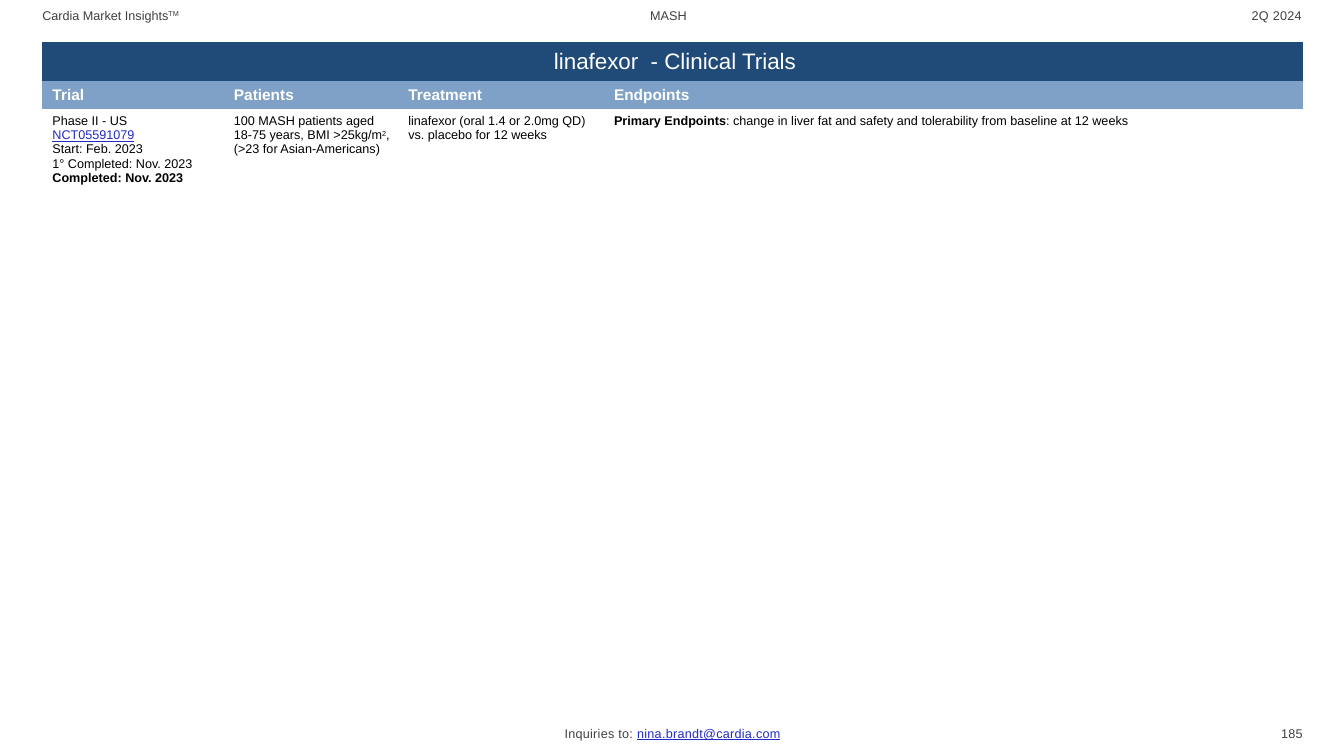
from pptx import Presentation
from pptx.dml.color import RGBColor
from pptx.enum import text as t
from pptx.util import Inches, Pt

NAVY = RGBColor(0x20, 0x4A, 0x78)
STEEL = RGBColor(0x7F, 0xA1, 0xC7)
WHITE = RGBColor(0xFF, 0xFF, 0xFF)
BLACK = RGBColor(0, 0, 0)
GREY = RGBColor(0x40, 0x40, 0x40)
LINK = RGBColor(0x23, 0x2A, 0xC6)
FONT = "Arial"
NO_STYLE_NO_GRID = "{2D5ABB26-0587-4C30-8999-92F81FD0307C}"
LEFT, CENTER, RIGHT = t.PP_ALIGN.LEFT, t.PP_ALIGN.CENTER, t.PP_ALIGN.RIGHT
TOP, MIDDLE = t.MSO_ANCHOR.TOP, t.MSO_ANCHOR.MIDDLE

COLUMN_WIDTHS = (1.8, 1.73, 2.04, 6.93)
ROW_HEIGHTS = (0.38, 0.27, 0.85)
HEADINGS = ("Trial", "Patients", "Treatment", "Endpoints")
# Each cell is a list of paragraphs; each paragraph is a list of (text, style).
TRIAL = (
    [
        [("Phase II - US", "")],
        [("NCT05591079", "link")],
        [("Start: Feb. 2023", "")],
        [("1° Completed: Nov. 2023", "")],
        [("Completed: Nov. 2023", "bold")],
    ],
    [[("100 MASH patients aged 18-75 years, BMI >25kg/m", ""), ("2", "super"),
      (", (>23 for Asian-Americans)", "")]],
    [[("linafexor (oral 1.4 or 2.0mg QD) vs. placebo for 12 weeks", "")]],
    [[("Primary Endpoints", "bold"),
      (": change in liver fat and safety and tolerability from baseline at 12 weeks", "")]],
)


def write_paragraph(para, spans, size, color, align=LEFT, bold=False, spacing=0):
    """Fill a paragraph with (text, style) spans; spacing is in points."""
    para.alignment = align
    para.font.name = FONT
    para.font.size = Pt(size)
    para.font.bold = bold
    para.font.color.rgb = color
    for words, style in spans:
        span = para.add_run()
        span.text = words
        properties = span._r.get_or_add_rPr()
        if spacing:
            properties.set("spc", str(round(spacing * 100)))
        if style == "link":
            span.font.color.rgb = LINK
            span.font.underline = True
        elif style == "bold":
            span.font.bold = True
        elif style == "super":
            properties.set("baseline", "30000")


def add_margin_text(page, left, top, width, spans, align, anchor, spacing=0):
    """Add one line of header or footer text."""
    box = page.shapes.add_textbox(Inches(left), Inches(top), Inches(width), Inches(0.3))
    frame = box.text_frame
    frame.word_wrap = True
    frame.vertical_anchor = anchor
    frame.margin_left = frame.margin_right = 0
    frame.margin_top = frame.margin_bottom = 0
    write_paragraph(frame.paragraphs[0], spans, 9, GREY, align, spacing=spacing)


def fill_cell(cell, paragraphs, size, color, fill=None, anchor=MIDDLE, **options):
    cell.margin_left = Inches(0.1)
    cell.margin_right = Inches(0.05)
    cell.margin_top = cell.margin_bottom = Inches(0.05)
    cell.vertical_anchor = anchor
    if fill is None:
        cell.fill.background()
    else:
        cell.fill.solid()
        cell.fill.fore_color.rgb = fill
    frame = cell.text_frame
    for index, spans in enumerate(paragraphs):
        para = frame.add_paragraph() if index else frame.paragraphs[0]
        write_paragraph(para, spans, size, color, **options)


def add_trials_table(page):
    frame = page.shapes.add_table(
        len(ROW_HEIGHTS), len(COLUMN_WIDTHS),
        Inches(0.42), Inches(0.42), Inches(sum(COLUMN_WIDTHS)), Inches(sum(ROW_HEIGHTS)))
    table = frame.table
    table.first_row = table.horz_banding = False
    table._tbl.tblPr[0].text = NO_STYLE_NO_GRID
    for column, width in zip(table.columns, COLUMN_WIDTHS):
        column.width = Inches(width)
    for row, height in zip(table.rows, ROW_HEIGHTS):
        row.height = Inches(height)

    title = table.cell(0, 0)
    title.merge(table.cell(0, len(COLUMN_WIDTHS) - 1))
    fill_cell(title, [[("linafexor  - Clinical Trials", "")]], 16, WHITE, NAVY, align=CENTER)
    for index, (heading, paragraphs) in enumerate(zip(HEADINGS, TRIAL)):
        fill_cell(table.cell(1, index), [[(heading, "")]], 11, WHITE, STEEL, bold=True)
        fill_cell(table.cell(2, index), paragraphs, 9, BLACK, anchor=TOP)


def main():
    deck = Presentation()
    deck.slide_width, deck.slide_height = Inches(13.33), Inches(7.5)
    page = deck.slides.add_slide(deck.slide_layouts[6])
    add_margin_text(page, 0.42, 0, 2.26, [("Cardia Market Insights", ""), ("TM", "super")],
                    LEFT, MIDDLE)
    add_margin_text(page, 4.78, 0, 3.7, [("MASH", "")], CENTER, MIDDLE)
    add_margin_text(page, 10.5, 0, 2.41, [("2Q 2024", "")], RIGHT, MIDDLE, spacing=0.2)
    add_trials_table(page)
    add_margin_text(page, 5.35, 7.2, 2.64,
                    [("Inquiries to: ", ""), ("nina.brandt@cardia.com", "link")],
                    CENTER, TOP, spacing=0.2)
    add_margin_text(page, 12.42, 7.2, 0.5, [("185", "")], RIGHT, TOP, spacing=0.2)
    deck.save("out.pptx")


if __name__ == "__main__":
    main()
